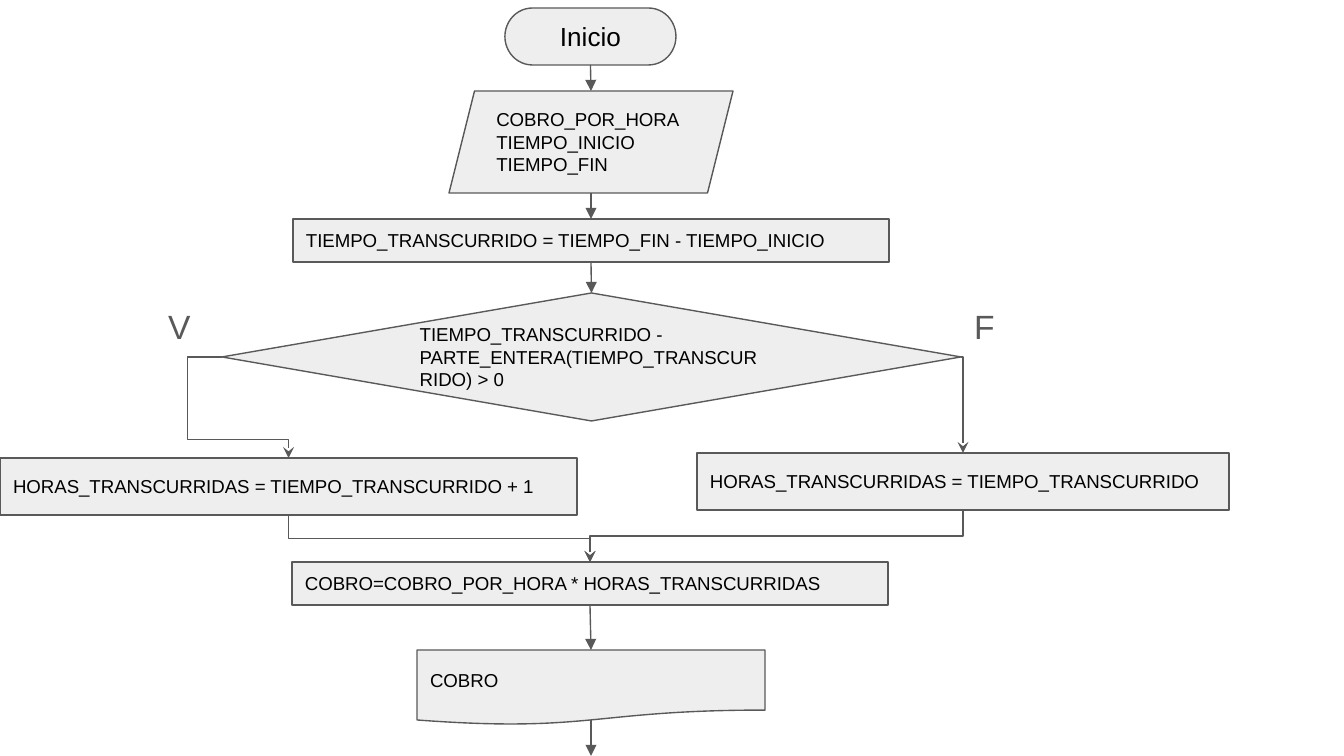
import pptx
import pptx.util
import pptx.dml.color
import pptx.enum.shapes
import pptx.enum.text
import pptx.oxml.ns
from lxml import etree

SLIDE_W, SLIDE_H = 1344, 756
EMU_PER_PX = 9144000 / SLIDE_W
COLORS = {"node": "EEEEEE", "line": "595959", "text": "000000", "branch": "595959"}
FONT = "Arial"
INSET = 13
TOP, LEFT, BOTTOM, RIGHT = range(4)
SHAPE = pptx.enum.shapes.MSO_SHAPE
CONNECTOR = pptx.enum.shapes.MSO_CONNECTOR
ALIGN = pptx.enum.text.PP_ALIGN
ANCHOR = pptx.enum.text.MSO_ANCHOR
qn = pptx.oxml.ns.qn


def px(length):
    return pptx.util.Emu(round(length * EMU_PER_PX))


def rgb(name):
    return pptx.dml.color.RGBColor.from_string(COLORS[name])


def apply(target, values):
    for name, value in values.items():
        setattr(target, name, value)


def write(shape, lines, size, color, align=ALIGN.LEFT, anchor=ANCHOR.MIDDLE):
    frame = shape.text_frame
    sides = ("left", "top", "right", "bottom")
    apply(frame, {f"margin_{side}": px(INSET) for side in sides})
    apply(frame, {"word_wrap": True, "vertical_anchor": anchor, "text": "\n".join(lines)})
    for paragraph in frame.paragraphs:
        paragraph.alignment = align
        font = paragraph.runs[0].font
        apply(font, {"name": FONT, "size": pptx.util.Pt(size)})
        font.color.rgb = rgb(color)


def outline(shape):
    shape.line.color.rgb = rgb("line")
    shape.line.width = pptx.util.Pt(0.75)


def add_node(slide, kind, box, *lines, size=10, align=ALIGN.LEFT):
    node = slide.shapes.add_shape(kind, *map(px, box))
    node.shadow.inherit = False
    node.fill.solid()
    node.fill.fore_color.rgb = rgb("node")
    outline(node)
    write(node, lines, size, "text", align)
    return node


def add_branch_label(slide, left, top, letter):
    label = slide.shapes.add_textbox(*map(px, (left, top, 48, 67)))
    write(label, [letter], 18, "branch", anchor=ANCHOR.TOP)
    label.text_frame.auto_size = pptx.enum.text.MSO_AUTO_SIZE.SHAPE_TO_FIT_TEXT


def style_arrow(arrow, head):
    outline(arrow)
    properties = arrow._element.spPr
    etree.SubElement(properties.find(qn("a:ln")), qn("a:tailEnd"), type=head)
    etree.SubElement(properties, qn("a:effectLst"))


def add_arrow(slide, start, end, source=None, target=None):
    """Straight arrow, joined to source's bottom and target's top if given."""
    arrow = slide.shapes.add_connector(CONNECTOR.STRAIGHT, *map(px, start + end))
    if source is not None:
        arrow.begin_connect(source, BOTTOM)
    if target is not None:
        arrow.end_connect(target, TOP)
    style_arrow(arrow, "triangle")


def add_elbow(slide, source, side, target, preset, adjustments=()):
    """Bent arrow from a side of source to the top of target."""
    arrow = slide.shapes.add_connector(CONNECTOR.ELBOW, 0, 0, 0, 0)
    arrow.begin_connect(source, side)
    arrow.end_connect(target, TOP)
    geometry = arrow._element.spPr.find(qn("a:prstGeom"))
    geometry.set("prst", preset)
    guides = geometry.find(qn("a:avLst"))
    for number, value in enumerate(adjustments, 1):
        etree.SubElement(guides, qn("a:gd"), name=f"adj{number}", fmla=f"val {value}")
    if side == BOTTOM:
        turn_downward(arrow)
    style_arrow(arrow, "stealth")


def turn_downward(arrow):
    """Rotate the bent path so that it leaves vertically, keeping both ends."""
    across, down = arrow.end_x - arrow.begin_x, arrow.end_y - arrow.begin_y
    center_x = (arrow.begin_x + arrow.end_x) // 2
    center_y = (arrow.begin_y + arrow.end_y) // 2
    frame = arrow._element.spPr.find(qn("a:xfrm"))
    for flip in ("flipH", "flipV"):
        frame.attrib.pop(flip, None)
    frame.set("rot", str((270 if across > 0 else 90) * 60000))
    if across > 0:
        frame.set("flipH", "1")
    apply(arrow, {"left": center_x - down // 2, "top": center_y - abs(across) // 2,
                  "width": down, "height": abs(across)})


def main():
    deck = pptx.Presentation()
    apply(deck, {"slide_width": px(SLIDE_W), "slide_height": px(SLIDE_H)})
    slide = deck.slides.add_slide(deck.slide_layouts[6])

    start = add_node(slide, SHAPE.FLOWCHART_TERMINATOR, (505, 8, 171, 57),
                     "Inicio", size=14, align=ALIGN.CENTER)
    add_node(slide, SHAPE.PARALLELOGRAM, (449, 91, 284, 102),
             "COBRO_POR_HORA", "TIEMPO_INICIO", "TIEMPO_FIN")
    elapsed = add_node(slide, SHAPE.RECTANGLE, (293, 219, 596, 43),
                       "TIEMPO_TRANSCURRIDO = TIEMPO_FIN - TIEMPO_INICIO")
    decision = add_node(slide, SHAPE.DIAMOND, (222, 293, 739, 128),
                        "TIEMPO_TRANSCURRIDO - PARTE_ENTERA(TIEMPO_TRANSCURRIDO) > 0")
    rounded_hours = add_node(slide, SHAPE.RECTANGLE, (0, 458, 577, 57),
                             "HORAS_TRANSCURRIDAS = TIEMPO_TRANSCURRIDO + 1")
    exact_hours = add_node(slide, SHAPE.RECTANGLE, (697, 453, 532, 57),
                           "HORAS_TRANSCURRIDAS = TIEMPO_TRANSCURRIDO")
    charge = add_node(slide, SHAPE.RECTANGLE, (292, 562, 596, 43),
                      "COBRO=COBRO_POR_HORA * HORAS_TRANSCURRIDAS")
    output = add_node(slide, SHAPE.FLOWCHART_DOCUMENT, (417, 650, 348, 75), "COBRO")

    add_branch_label(slide, 155, 293, "V")
    add_branch_label(slide, 961, 293, "F")

    axis = 591
    add_arrow(slide, (axis, 65), (axis, 91), source=start)
    add_arrow(slide, (axis, 193), (axis, 219), target=elapsed)
    add_arrow(slide, (axis, 262), (axis, 293), elapsed, decision)
    add_arrow(slide, (axis, 605), (axis, 650), charge, output)
    add_arrow(slide, (axis, 720), (axis, SLIDE_H))

    add_elbow(slide, decision, LEFT, rounded_hours, "bentConnector4", (-52300, 81900))
    add_elbow(slide, decision, RIGHT, exact_hours, "bentConnector2")
    for hours in (rounded_hours, exact_hours):
        add_elbow(slide, hours, BOTTOM, charge, "bentConnector3", (50000,))

    deck.save("out.pptx")


if __name__ == "__main__":
    main()
